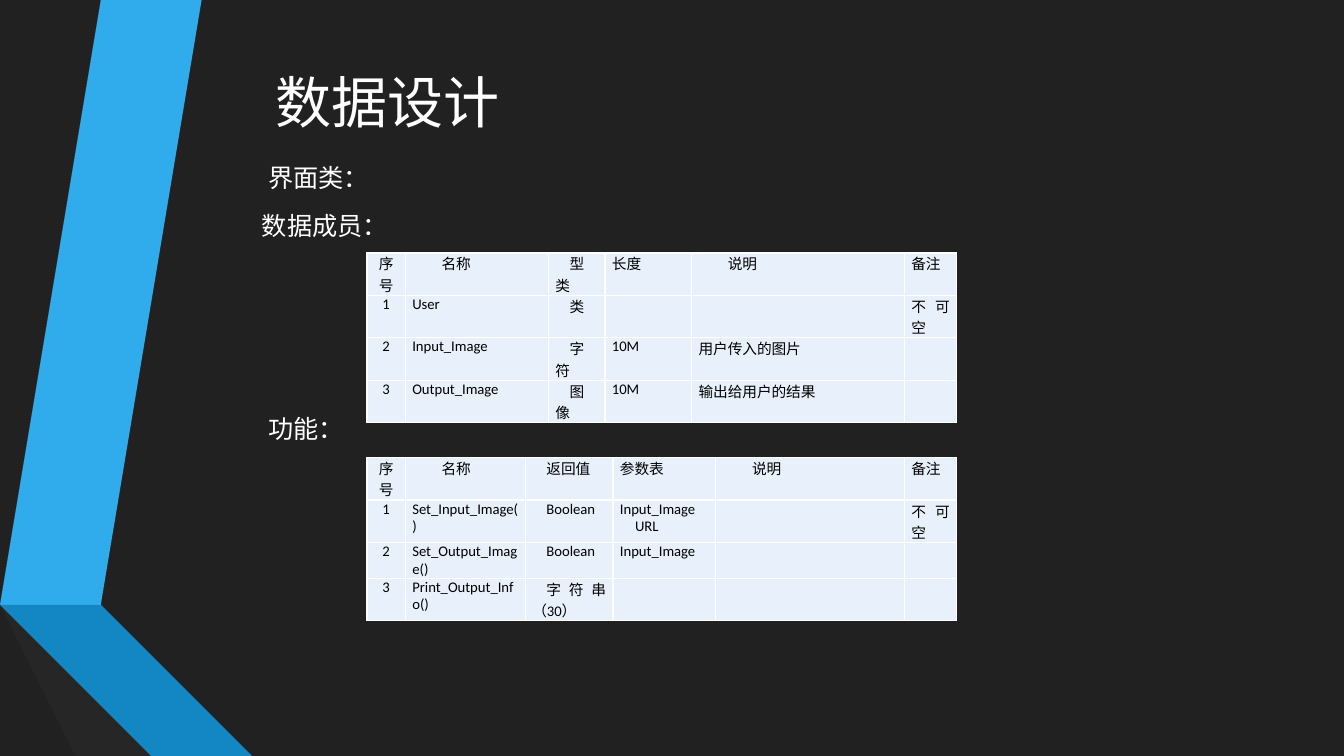
from dataclasses import dataclass
from typing import Optional

from lxml import etree
from pptx import Presentation
from pptx import util as u
from pptx.dml.color import RGBColor
from pptx.enum import text
from pptx.oxml import ns

BACKDROP = RGBColor(0x21, 0x21, 0x21)
WHITE = RGBColor(0xFF, 0xFF, 0xFF)
BLACK = RGBColor(0x00, 0x00, 0x00)
CELL_FILL = RGBColor(0xE8, 0xF1, 0xFB)
BLUE = RGBColor(0x30, 0xAC, 0xEC)
MID_BLUE = RGBColor(0x12, 0x87, 0xC3)
DEEP_BLUE = RGBColor(0x0C, 0x5A, 0x82)
GREY = RGBColor(0x59, 0x59, 0x59)
MID_GREY = RGBColor(0x40, 0x40, 0x40)
DEEP_GREY = RGBColor(0x26, 0x26, 0x26)

HEADER_INDENT = 0.29
TYPE_INDENT = 0.14
HANGING_INDENT = 0.15


@dataclass
class Ribbon:
    color: RGBColor
    points: list[tuple[float, float]]


@dataclass
class Label:
    words: str
    left: float
    top: float
    width: float = 2.28
    height: float = 0.4
    size: float = 18
    font: str = "Calibri"
    is_title: bool = False


@dataclass
class MemberTable:
    top: float
    widths: list[float]
    rows: list[list[str]]
    hanging: Optional[tuple[int, int]] = None


RIBBONS = [
    Ribbon(BLUE, [(0.5, 5.78), (0.77, 5.83), (1.73, 0), (1.45, 0)]),
    Ribbon(GREY, [(1.39, 0), (1.11, 0), (0.16, 5.73), (0.44, 5.77)]),
    Ribbon(DEEP_GREY, [(0.16, 5.73), (1.45, 7.5), (1.51, 7.5)]),
    Ribbon(DEEP_BLUE, [(0.5, 5.79), (2.08, 7.5), (2.14, 7.5)]),
    Ribbon(MID_BLUE, [(0.5, 5.78), (0.5, 5.79), (2.14, 7.5), (2.83, 7.5), (0.77, 5.83)]),
    Ribbon(MID_GREY, [(2.02, 7.5), (0.48, 5.83), (0.44, 5.77), (0.16, 5.73), (1.51, 7.5)]),
]

LABELS = [
    Label("数据设计", 2.56, 0.44, 2.57, 1.12, 40, "Noto Sans CJK SC", True),
    Label("数据成员：", 2.5, 2.04),
    Label("界面类：", 2.56, 1.56),
    Label("功能：", 2.56, 4.05),
]

TABLES = [
    MemberTable(2.51, [0.38, 1.42, 0.56, 0.86, 2.11, 0.52], [
        ["序号", "名称", "型类", "长度", "说明", "备注"],
        ["1", "User", "类", "", "", "不可空"],
        ["2", "Input_Image", "字符", "10M", "用户传入的图片", ""],
        ["3", "Output_Image", "图像", "10M", "输出给用户的结果", ""],
    ]),
    MemberTable(4.54, [0.38, 1.19, 0.87, 1.02, 1.87, 0.52], [
        ["序号", "名称", "返回值", "参数表", "说明", "备注"],
        ["1", "Set_Input_Image()", "Boolean", "Input_Image URL", "", "不可空"],
        ["2", "Set_Output_Image()", "Boolean", "Input_Image", "", ""],
        ["3", "Print_Output_Info()", "字符串（30）", "", "", ""],
    ], hanging=(1, 3)),
]


def style_font(para, size: float, name: str, color: RGBColor) -> None:
    para.font.size = u.Pt(size)
    para.font.name = name
    para.font.color.rgb = color


def draw_ribbon(page, ribbon: Ribbon) -> None:
    start, *rest = ribbon.points
    builder = page.shapes.build_freeform(*start, scale=float(u.Inches(1)))
    builder.add_line_segments(rest, close=True)
    shape = builder.convert_to_shape()
    shape.shadow.inherit = False
    shape.fill.solid()
    shape.fill.fore_color.rgb = ribbon.color
    shape.line.fill.background()


def draw_label(page, label: Label) -> None:
    box = page.shapes.add_textbox(u.Inches(label.left), u.Inches(label.top),
                                  u.Inches(label.width), u.Inches(label.height))
    frame = box.text_frame
    frame.word_wrap = True
    para = frame.paragraphs[0]
    para.text = label.words
    style_font(para, label.size, label.font, WHITE)
    if label.is_title:
        frame.vertical_anchor = text.MSO_ANCHOR.MIDDLE
        para.alignment = text.PP_ALIGN.CENTER
    else:
        frame.auto_size = text.MSO_AUTO_SIZE.SHAPE_TO_FIT_TEXT


def set_borders(cell) -> None:
    properties = cell._tc.get_or_add_tcPr()
    for position, side in enumerate(("lnL", "lnR", "lnT", "lnB")):
        line = etree.Element(ns.qn(f"a:{side}"), w=str(u.Pt(1)))
        fill = etree.SubElement(line, ns.qn("a:solidFill"))
        etree.SubElement(fill, ns.qn("a:srgbClr"), val=str(WHITE))
        properties.insert(position, line)


def set_indent(para, margin: float, first_line: float) -> None:
    properties = para._p.get_or_add_pPr()
    properties.set("marL", str(u.Inches(margin)))
    properties.set("indent", str(u.Inches(first_line)))


def fill_cell(cell, words: str, row: int, column: int, hanging: bool) -> None:
    cell.margin_left = cell.margin_right = u.Inches(0.07)
    cell.margin_top = cell.margin_bottom = 0
    cell.fill.solid()
    cell.fill.fore_color.rgb = CELL_FILL
    set_borders(cell)
    para = cell.text_frame.paragraphs[0]
    para.text = words
    para.space_before = u.Pt(6)
    para.alignment = text.PP_ALIGN.CENTER if column == 0 else text.PP_ALIGN.JUSTIFY
    style_font(para, 10.5, "Calibri", BLACK)
    if hanging:
        set_indent(para, HANGING_INDENT, -HANGING_INDENT)
    elif column == 2:
        set_indent(para, 0, TYPE_INDENT)
    elif row == 0 and column in (1, 4):
        set_indent(para, 0, HEADER_INDENT)


def draw_table(page, members: MemberTable) -> None:
    frame = page.shapes.add_table(len(members.rows), len(members.widths), u.Inches(3.64),
                                  u.Inches(members.top), u.Inches(5.85), u.Inches(1.4))
    table = frame.table
    table.first_row = False
    table.horz_banding = False
    for column, width in zip(table.columns, members.widths):
        column.width = u.Inches(width)
    for row, entries in enumerate(members.rows):
        for column, words in enumerate(entries):
            fill_cell(table.cell(row, column), words, row, column,
                      members.hanging == (row, column))


def main() -> None:
    deck = Presentation()
    deck.slide_width = u.Inches(13.33)
    deck.slide_height = u.Inches(7.5)
    page = deck.slides.add_slide(deck.slide_layouts[6])
    page.background.fill.solid()
    page.background.fill.fore_color.rgb = BACKDROP
    for ribbon in RIBBONS:
        draw_ribbon(page, ribbon)
    for members in TABLES:
        draw_table(page, members)
    for label in LABELS:
        draw_label(page, label)
    deck.save("out.pptx")


if __name__ == "__main__":
    main()
